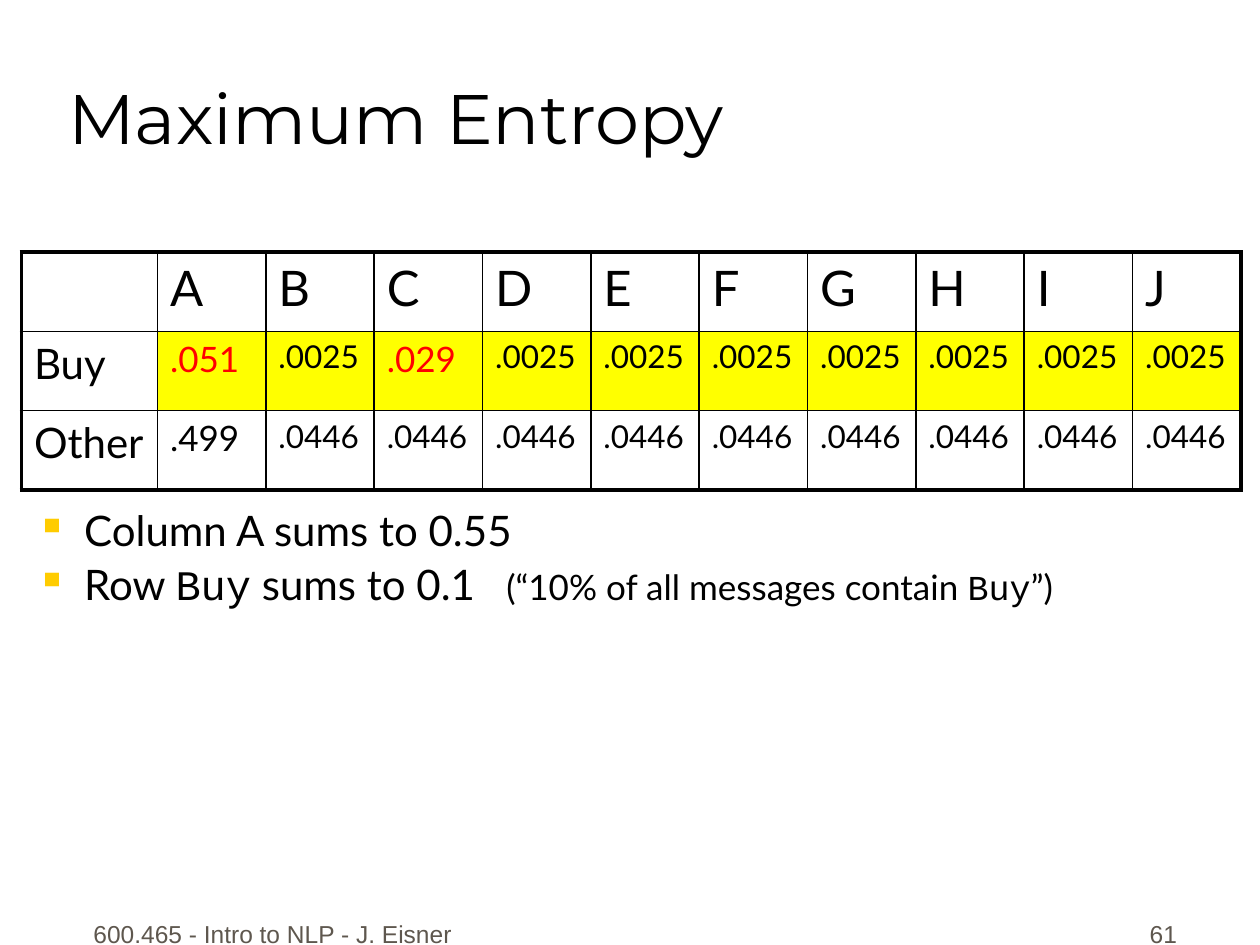
from dataclasses import dataclass

from lxml import etree
from pptx import Presentation, util as u
from pptx.dml.color import RGBColor
from pptx.enum import text
from pptx.oxml import ns


@dataclass(frozen=True)
class Theme:
    """Colours, fonts and type sizes of the deck."""
    ink: str = "000000"
    muted: str = "5E574E"
    accent: str = "FF0000"
    bullet: str = "FFCC00"
    highlight: str = "FFFF00"
    head_font: str = "Montserrat"
    body_font: str = "Lato"
    code_font: str = "Courier New"
    foot_font: str = "Arial"
    title: int = 40
    header: int = 28
    body: int = 24
    value: int = 20
    small: int = 18
    foot: int = 14
    frame: float = 2.25
    rule: float = 1


def sub(parent, tag, **attrs):
    """Append a DrawingML child element and return it."""
    return etree.SubElement(parent, ns.qn(f"a:{tag}"), {k: str(v) for k, v in attrs.items()})


class Deck:
    """Draw elements on the current slide, on a grid of 100 columns by 75 rows."""

    def __init__(self, theme):
        """Start a presentation with one title-only slide."""
        self.t = theme
        self.prs = Presentation()
        self.prs.slide_width, self.prs.slide_height = u.Inches(10), u.Inches(7.5)
        self.s = self.prs.slides.add_slide(self.prs.slide_layouts[5])

    def box(self, left, top, width, height):
        """Turn grid columns and rows into lengths."""
        col, row = self.prs.slide_width / 100, self.prs.slide_height / 75
        return [u.Emu(round(n * unit)) for n, unit in
                zip((left, top, width, height), (col, row, col, row))]

    def font(self, font, size, name, color):
        """Format a paragraph or run font."""
        font.size, font.name = u.Pt(size), name
        font.color.rgb = RGBColor.from_string(color)

    def space_before(self, p, percent):
        """Set paragraph spacing as a share of the line."""
        sub(sub(p._p.get_or_add_pPr(), "spcBef"), "spcPct", val=percent * 1000)

    def title(self, words, *at):
        """Place and format the title placeholder."""
        sp = self.s.shapes.title
        sp.left, sp.top, sp.width, sp.height = self.box(*at)
        sp.text_frame.text = words
        sp.text_frame.vertical_anchor = text.MSO_ANCHOR.BOTTOM
        p = sp.text_frame.paragraphs[0]
        p.alignment = text.PP_ALIGN.LEFT
        self.font(p.font, self.t.title, self.t.head_font, self.t.ink)

    def frame(self, *at):
        """Add a wrapping text box and return its text frame."""
        tf = self.s.shapes.add_textbox(*self.box(*at)).text_frame
        tf.word_wrap = True
        return tf

    def footer(self, words, align, *at):
        """Add a footer text."""
        tf = self.frame(*at)
        tf.vertical_anchor = text.MSO_ANCHOR.BOTTOM
        p = tf.paragraphs[0]
        p.text, p.alignment = words, align
        self.space_before(p, 50)
        self.font(p.font, self.t.foot, self.t.foot_font, self.t.muted)

    def bullets(self, items, tab, *at):
        """Add a bulleted list of (words, size, font) runs."""
        tf = self.frame(*at)
        for i, runs in enumerate(items):
            p = tf.paragraphs[0] if i == 0 else tf.add_paragraph()
            p.line_spacing = 0.9
            self.space_before(p, 20)
            pPr = p._p.get_or_add_pPr()
            indent = u.Inches(0.38)
            pPr.set("marL", str(indent))
            pPr.set("indent", str(-indent))
            sub(sub(pPr, "buClr"), "srgbClr", val=self.t.bullet)
            sub(pPr, "buChar", char="▪")
            sub(sub(pPr, "tabLst"), "tab", pos=u.Inches(tab), algn="l")
            for words, size, name in runs:
                r = p.add_run()
                r.text = words
                self.font(r.font, size, name, self.t.ink)

    def borders(self, cell, widths):
        """Rule a cell's left, right, top and bottom sides."""
        tcPr = cell._tc.get_or_add_tcPr()
        for side, width in zip("LRTB", widths):
            ln = sub(tcPr, f"ln{side}", w=u.Pt(width))
            sub(sub(ln, "solidFill"), "srgbClr", val=self.t.ink)

    def cell_style(self, i, j, words):
        """Return the type size and colour of a table cell."""
        t = self.t
        if i == 0:
            return t.header, t.ink
        if j == 0:
            return t.body, t.ink
        size = t.value if len(words) == 4 else t.small
        return size, t.accent if i == 1 and size == t.value else t.ink

    def table(self, rows, first_col, col, *at):
        """Add a framed table whose second row is highlighted."""
        t, last_i, last_j = self.t, len(rows) - 1, len(rows[0]) - 1
        tbl = self.s.shapes.add_table(last_i + 1, last_j + 1, *self.box(*at)).table
        tbl.first_row = tbl.horz_banding = False
        for j, column in enumerate(tbl.columns):
            column.width = u.Inches(col if j else first_col)
        for i, row in enumerate(rows):
            for j, words in enumerate(row):
                cell = tbl.cell(i, j)
                outer = (j == 0, j == last_j, i == 0, i == last_i)
                self.borders(cell, [t.frame if edge else t.rule for edge in outer])
                if i == 1 and j:
                    cell.fill.solid()
                    cell.fill.fore_color.rgb = RGBColor.from_string(t.highlight)
                else:
                    cell.fill.background()
                p = cell.text_frame.paragraphs[0]
                p.text = words
                self.space_before(p, 20)
                size, color = self.cell_style(i, j, words)
                self.font(p.font, size, t.body_font, color)


def main():
    """Build the slide and save it."""
    t = Theme()
    deck = Deck(t)
    deck.footer("600.465 - Intro to NLP - J. Eisner", text.PP_ALIGN.CENTER, 5.8, 70.8, 31.7, 5)
    deck.footer("61", text.PP_ALIGN.RIGHT, 73.6, 70.8, 20.8, 5)
    deck.title("Maximum Entropy", 4.4, 0.6, 85, 12.5)
    rows = [["", *"ABCDEFGHIJ"],
            ["Buy", ".051", ".0025", ".029"] + [".0025"] * 7,
            ["Other", ".499"] + [".0446"] * 9]
    deck.table(rows, 1.08, 0.86, 1.7, 20, 96.7, 18.9)
    items = [[("Column A sums to 0.55", t.body, t.body_font)],
             [("Row ", t.body, t.body_font), ("Buy", t.body, t.code_font),
              (" sums to 0.1\t", t.body, t.body_font),
              ("(“10% of all messages contain ", t.value, t.body_font),
              ("Buy", t.value, t.code_font), ("”)", t.value, t.body_font)]]
    deck.bullets(items, 3.73, 1.9, 40, 95.6, 7.5)
    deck.prs.save("out.pptx")


if __name__ == "__main__":
    main()
